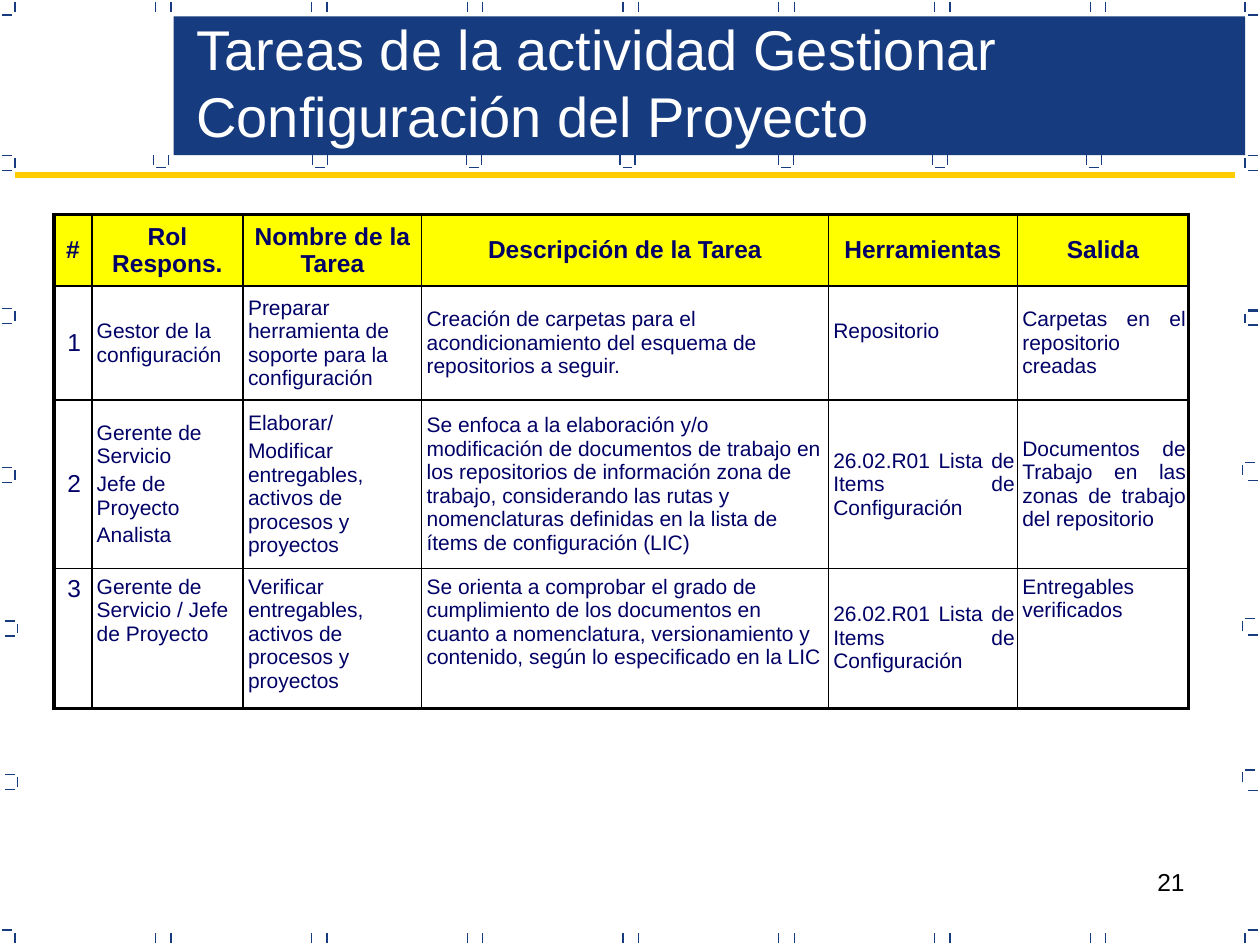
from lxml.etree import SubElement
from pptx import Presentation
from pptx.dml.color import RGBColor
from pptx.enum.shapes import MSO_CONNECTOR, MSO_SHAPE
from pptx.enum.text import MSO_ANCHOR, PP_ALIGN
from pptx.oxml.ns import qn
from pptx.util import Cm, Pt

COLORS = {"blue": "163B7F", "gold": "FFCC00", "yellow": "FFFF00",
          "navy": "000066", "white": "FFFFFF", "black": "000000"}
WIDTHS = [0.76, 3.05, 3.6, 8.2, 3.81, 3.45]
HEIGHTS = [1.45, 2.29, 3.4, 2.82]
ROWS = [
    ["#", "Rol Respons.", "Nombre de la Tarea", "Descripción de la Tarea",
     "Herramientas", "Salida"],
    ["1", "Gestor de la configuración",
     "Preparar herramienta de soporte para la configuración",
     "Creación de carpetas para el acondicionamiento del esquema de "
     "repositorios a seguir.",
     "Repositorio", "Carpetas en el repositorio creadas"],
    ["2", "Gerente de Servicio\nJefe de Proyecto\nAnalista",
     "Elaborar/\nModificar entregables, activos de procesos y proyectos",
     "Se enfoca a la elaboración y/o modificación de documentos de trabajo en "
     "los repositorios de información zona de trabajo, considerando las rutas "
     "y nomenclaturas definidas en la lista de ítems de configuración (LIC)",
     "26.02.R01 Lista de Items de Configuración",
     "Documentos de Trabajo en las zonas de trabajo del repositorio"],
    ["3", "Gerente de Servicio / Jefe de Proyecto",
     "Verificar entregables, activos de procesos y proyectos",
     "Se orienta a comprobar el grado de cumplimiento de los documentos en "
     "cuanto a nomenclatura, versionamiento y contenido, según lo "
     "especificado en la LIC",
     "26.02.R01 Lista de Items de Configuración", "Entregables verificados"],
]


class Deck:
    font = "Arial"

    def __init__(self):
        self.prs = Presentation()
        self.prs.slide_width, self.prs.slide_height = Cm(25.4), Cm(19.05)
        self.slide = self.prs.slides.add_slide(self.prs.slide_layouts[6])
        self.shapes = self.slide.shapes

    def color(self, name):
        return RGBColor.from_string(COLORS[name])

    def rect(self, x, y, w, h, fill):
        box = self.shapes.add_shape(MSO_SHAPE.RECTANGLE, Cm(x), Cm(y), Cm(w), Cm(h))
        box.shadow.inherit = False
        box.fill.solid()
        box.fill.fore_color.rgb = self.color(fill)
        box.line.fill.background()

    def line(self, x1, y1, x2, y2, color="blue", width=0.75):
        line = self.shapes.add_connector(
            MSO_CONNECTOR.STRAIGHT, Cm(x1), Cm(y1), Cm(x2), Cm(y2))
        line.line.color.rgb = self.color(color)
        line.line.width = Pt(width)
        SubElement(line._element.spPr, qn("a:effectLst"))

    def tick(self, x, y):
        self.line(x, y + 0.2, x, y)

    def dash(self, x, y):
        self.line(x, y, x + 0.2, y)

    def hook(self, x, y, parts="tvb"):
        """Edge mark whose upright is at x; parts: t top, v upright, b bottom."""
        dash = x - 0.25 if x < 1 else x + 0.05
        if "t" in parts:
            self.dash(dash, y)
        if "v" in parts:
            self.tick(x, y + 0.05)
        if "b" in parts:
            self.dash(dash, y + 0.3)

    def style(self, para, size, color, align=PP_ALIGN.LEFT, bold=False):
        para.alignment = align
        font = para.font
        font.name, font.size, font.bold = self.font, Pt(size), bold
        font.color.rgb = self.color(color)

    def text(self, x, y, w, h, text, size, color, align=PP_ALIGN.LEFT,
             anchor=MSO_ANCHOR.TOP):
        frame = self.shapes.add_textbox(Cm(x), Cm(y), Cm(w), Cm(h)).text_frame
        frame.word_wrap = True
        frame.vertical_anchor = anchor
        frame.text = text
        self.style(frame.paragraphs[0], size, color, align)

    def edge(self, cell, side, width):
        line = SubElement(cell._tc.get_or_add_tcPr(), qn("a:ln" + side),
                          w=str(Pt(width)))
        fill = SubElement(line, qn("a:solidFill"))
        SubElement(fill, qn("a:srgbClr"), val=COLORS["black"])

    def cell(self, cell, text, row, col):
        head = row == 0
        outer = {"L": col == 0, "R": col == len(WIDTHS) - 1,
                 "T": head, "B": row == len(ROWS) - 1}
        for side, rim in outer.items():
            self.edge(cell, side, 2.25 if rim else 1)
        if head:
            cell.fill.solid()
            cell.fill.fore_color.rgb = self.color("yellow")
        else:
            cell.fill.background()
        cell.margin_left, cell.margin_right = (0, 0) if head else (Cm(0.1), Cm(0.05))
        cell.margin_top = cell.margin_bottom = Cm(0.13)
        cell.vertical_anchor = MSO_ANCHOR.TOP if outer["B"] else MSO_ANCHOR.MIDDLE
        if head or col == 0:
            size, align = 14, PP_ALIGN.CENTER
        else:
            size, align = 12, PP_ALIGN.JUSTIFY if col >= 4 else PP_ALIGN.LEFT
        cell.text = text
        for para in cell.text_frame.paragraphs:
            self.style(para, size, "navy", align, head)
            para.space_before = Pt(size * 0.2)

    def table(self, x, y):
        table = self.shapes.add_table(
            len(ROWS), len(WIDTHS), Cm(x), Cm(y),
            Cm(sum(WIDTHS)), Cm(sum(HEIGHTS))).table
        table.horz_banding = table.first_row = False
        for col, width in zip(table.columns, WIDTHS):
            col.width = Cm(width)
        for row, height in zip(table.rows, HEIGHTS):
            row.height = Cm(height)
        for r, row in enumerate(ROWS):
            for c, text in enumerate(row):
                self.cell(table.cell(r, c), text, r, c)
        return table


def frame(deck):
    """Draw the small blue marks around the page and below the banner."""
    for n in range(1, 8):
        for x in (3.14 * n, 3.14 * n + 0.31):
            for y in (0.05, 18.8):
                deck.tick(x, y)
    for x in (3.1, 6.3, 9.4, 12.5, 15.7, 18.8, 21.9):
        deck.tick(x, 3.13)
        deck.tick(x + 0.3, 3.13)
        deck.dash(x + 0.05, 3.38)
    for x in (0.3, 25.1):
        deck.hook(x, 0, "vb")
        deck.hook(x, 3.13)
        deck.hook(x, 18.75, "tv")
    for x, y in ((0.3, 6.22), (0.3, 9.42), (0.35, 12.52), (0.35, 15.62)):
        deck.hook(x, y)
    for x, y in ((25.1, 6.27), (25.05, 9.32), (25.05, 12.47), (25.05, 15.52)):
        deck.hook(x, y, "tv")
    for y in (6.25, 6.55, 9.68, 12.8, 15.93):
        deck.dash(25.15, y)


def main():
    deck = Deck()
    deck.text(18.21, 17.35, 5.92, 1.32, "21", 14, "black", PP_ALIGN.RIGHT)
    deck.rect(3.5, 0.33, 21.6, 2.8, "blue")
    frame(deck)
    deck.text(3.71, 0.15, 21, 2.97,
              "Tareas de la actividad Gestionar Configuración del Proyecto",
              32, "white", anchor=MSO_ANCHOR.BOTTOM)
    deck.line(0.3, 3.53, 24.9, 3.53, "gold", 3)
    table = deck.table(1.09, 4.32)
    table.cell(1, 4).margin_bottom = Cm(0.61)
    table.cell(3, 4).margin_top = Cm(0.69)
    deck.prs.save("out.pptx")


if __name__ == "__main__":
    main()
